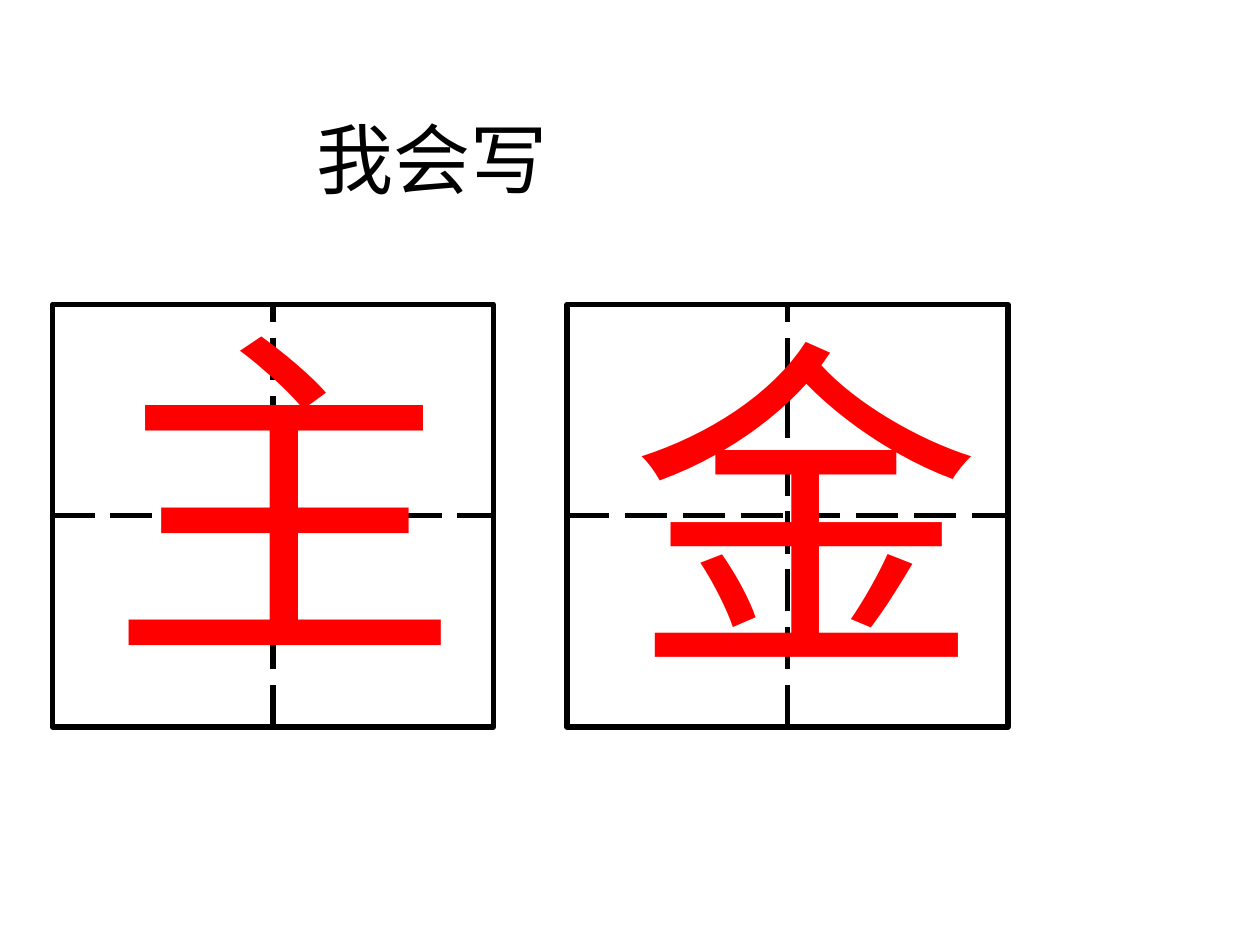
"""Build a writing practice slide with two characters in dashed grid boxes."""
from lxml import etree
from pptx import Presentation
from pptx.dml.color import RGBColor
from pptx.enum.dml import MSO_LINE
from pptx.enum.shapes import MSO_CONNECTOR, MSO_SHAPE
from pptx.enum.text import MSO_AUTO_SIZE
from pptx.oxml.ns import qn
from pptx.util import Pt

BLACK = RGBColor(0x00, 0x00, 0x00)
RED = RGBColor(0xFF, 0x00, 0x00)
FONT = "Times New Roman"
RECT = MSO_SHAPE.RECTANGLE
STRAIGHT = MSO_CONNECTOR.STRAIGHT
DASH = MSO_LINE.LONG_DASH
GROW = MSO_AUTO_SIZE.SHAPE_TO_FIT_TEXT
TOP, LEFT, BOTTOM, RIGHT = range(4)

TITLE = ("我会写", (174, 60, 180, 60.5))
CHARACTERS = [
    ("主", (55.5, 156, 215, 247.5)),
    ("金", (354, 162, 222, 247.5)),
]
GRID_LEFT, GRID_TOP = 30, 174
GRID_WIDTH, GRID_HEIGHT = 252, 241.5
GRID_STEP = 294
LINE_WIDTH = 3


def add_text(slide, text, box, size, color):
    s = slide.shapes.add_textbox(*map(Pt, box))
    tf = s.text_frame
    tf.word_wrap = True
    tf.auto_size = GROW
    p = tf.paragraphs[0]
    p.text = text
    p.font.name = FONT
    p.font.size = Pt(size)
    p.font.color.rgb = color


def add_grid(slide, left):
    group = slide.shapes.add_group_shape()
    sp = group.shapes.add_shape(
        RECT, Pt(left), Pt(GRID_TOP), Pt(GRID_WIDTH), Pt(GRID_HEIGHT))
    sp.shadow.inherit = False
    sp.fill.background()
    sp.line.color.rgb = BLACK
    sp.line.width = Pt(LINE_WIDTH)
    mid_x, mid_y = left + GRID_WIDTH / 2, GRID_TOP + GRID_HEIGHT / 2
    right, bottom = left + GRID_WIDTH, GRID_TOP + GRID_HEIGHT
    for ends, begin, end in [
        ((left, mid_y, right, mid_y), LEFT, RIGHT),
        ((mid_x, bottom, mid_x, GRID_TOP), BOTTOM, TOP),
    ]:
        line = group.shapes.add_connector(STRAIGHT, *map(Pt, ends))
        line.begin_connect(sp, begin)
        line.end_connect(sp, end)
        line.line.color.rgb = BLACK
        line.line.width = Pt(LINE_WIDTH)
        line.line.dash_style = DASH
        etree.SubElement(line._element.spPr, qn("a:effectLst"))


def main():
    prs = Presentation()
    prs.slide_width, prs.slide_height = Pt(720), Pt(540)
    slide = prs.slides.add_slide(prs.slide_layouts[6])
    title, box = TITLE
    add_text(slide, title, box, 44, BLACK)
    for i, (character, box) in enumerate(CHARACTERS):
        add_grid(slide, GRID_LEFT + i * GRID_STEP)
        add_text(slide, character, box, 200, RED)
    prs.save("out.pptx")


if __name__ == "__main__":
    main()
